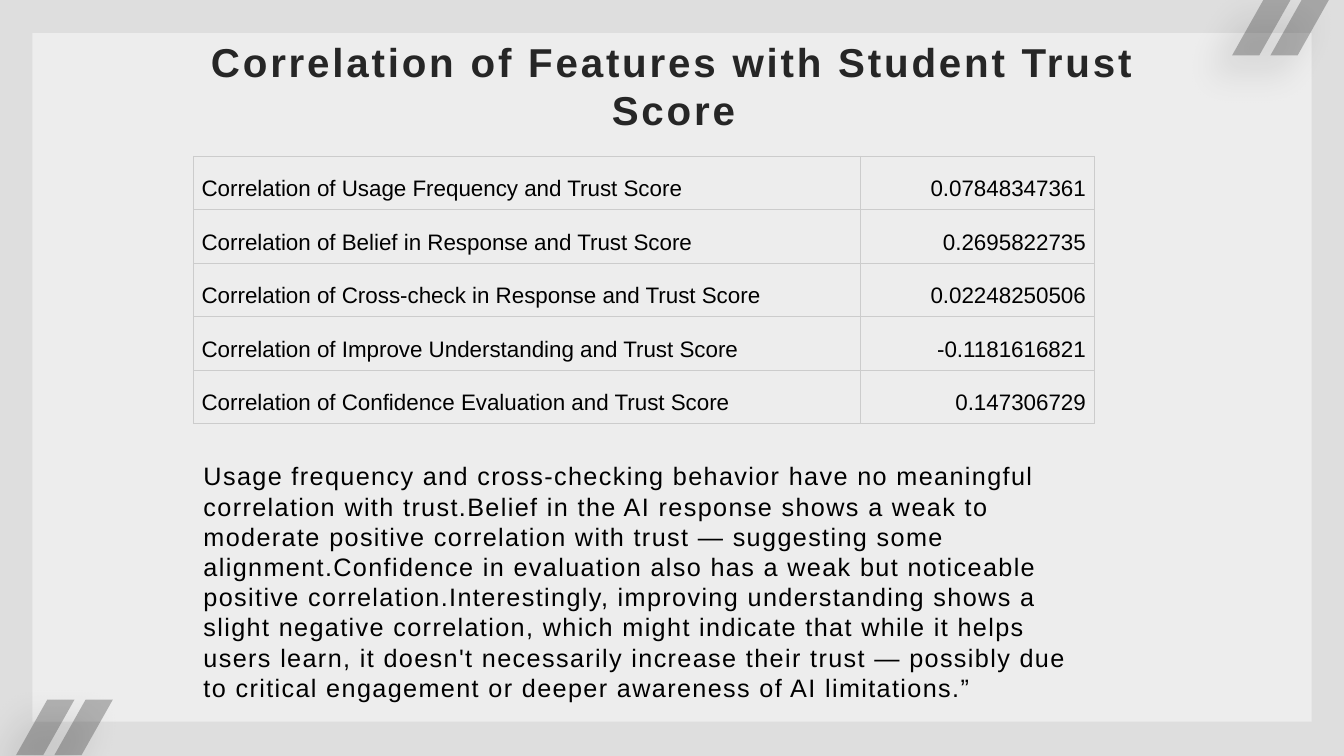
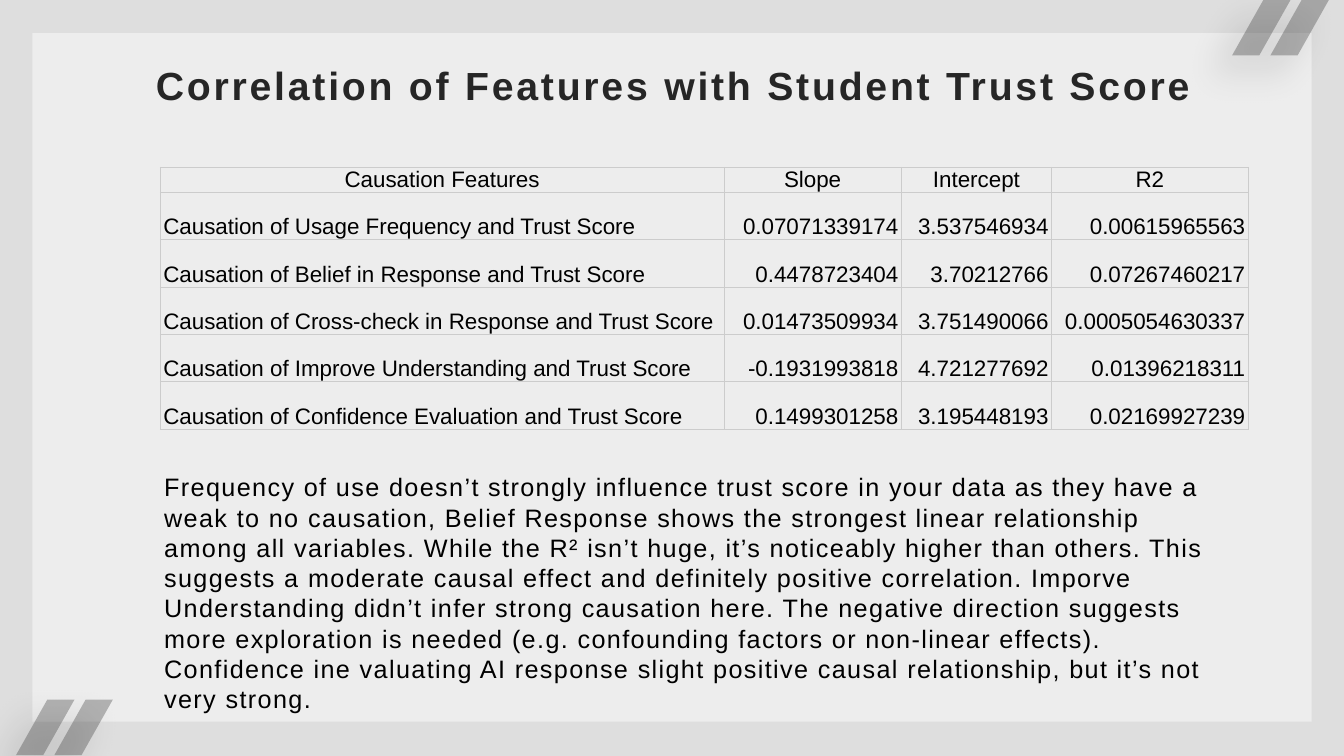
import dataclasses
import typing

import lxml.etree
import pptx
import pptx.dml.color
import pptx.enum.shapes
import pptx.enum.text
import pptx.oxml.ns
import pptx.util

Inches = pptx.util.Inches
Pt = pptx.util.Pt
ALIGN = pptx.enum.text.PP_ALIGN
ANCHOR = pptx.enum.text.MSO_ANCHOR
qn = pptx.oxml.ns.qn

FONT = "Arial"
BACK, PANEL, GRID = "DEDEDE", "EDEDED", "CCCCCC"
DARK, BLACK = "262626", "000000"
TITLE = "Correlation of Features with Student Trust Score"


@dataclasses.dataclass
class Grid:
    left: float
    top: float
    cols: list[float]
    rows: list[float]
    cells: list[list[str]]
    pad_x: float
    pad_y: float
    header: bool = False


@dataclasses.dataclass
class Page:
    title_size: float
    grid: Grid
    note: str
    box: tuple[float, float, float, float]


PAGES = [
    Page(
        28.8,
        Grid(1.92, 1.55, [6.61, 2.32], [0.53] * 5, [
            ["Correlation of Usage Frequency and Trust Score", "0.07848347361"],
            ["Correlation of Belief in Response and Trust Score", "0.2695822735"],
            ["Correlation of Cross-check in Response and Trust Score", "0.02248250506"],
            ["Correlation of Improve Understanding and Trust Score", "-0.1181616821"],
            ["Correlation of Confidence Evaluation and Trust Score", "0.147306729"],
        ], 0.08, 0.08),
        "Usage frequency and cross-checking behavior have no meaningful "
        "correlation with trust.Belief in the AI response shows a weak to "
        "moderate positive correlation with trust — suggesting some "
        "alignment.Confidence in evaluation also has a weak but noticeable "
        "positive correlation.Interestingly, improving understanding shows a "
        "slight negative correlation, which might indicate that while it helps "
        "users learn, it doesn't necessarily increase their trust — possibly due "
        "to critical engagement or deeper awareness of AI limitations.”",
        (1.92, 4.52, 8.93, 2.52),
    ),
    Page(
        28,
        Grid(1.59, 1.66, [5.59, 1.76, 1.49, 1.95], [0.23] + [0.47] * 5, [
            ["Causation Features", "Slope", "Intercept", "R2"],
            ["Causation of Usage Frequency and Trust Score",
             "0.07071339174", "3.537546934", "0.00615965563"],
            ["Causation of Belief in Response and Trust Score",
             "0.4478723404", "3.70212766", "0.07267460217"],
            ["Causation of Cross-check in Response and Trust Score",
             "0.01473509934", "3.751490066", "0.0005054630337"],
            ["Causation of Improve Understanding and Trust Score",
             "-0.1931993818", "4.721277692", "0.01396218311"],
            ["Causation of Confidence Evaluation and Trust Score",
             "0.1499301258", "3.195448193", "0.02169927239"],
        ], 0.03, 0, header=True),
        "Frequency of use doesn’t strongly influence trust score in your data "
        "as they have a weak to no causation, Belief Response shows the "
        "strongest linear relationship among all variables. While the R² isn’t "
        "huge, it’s noticeably higher than others. This suggests a moderate "
        "causal effect and definitely positive correlation. Imporve "
        "Understanding didn’t infer strong causation here. The negative "
        "direction suggests more exploration is needed (e.g. confounding "
        "factors or non-linear effects). Confidence ine valuating AI response "
        "slight positive causal relationship, but it’s not very strong.",
        (1.53, 4.63, 10.77, 2.52),
    ),
]


def paint(fill: typing.Any, color: str) -> None:
    fill.solid()
    fill.fore_color.rgb = pptx.dml.color.RGBColor.from_string(color)


def write(frame: typing.Any, text: str, *, size: float, color: str = BLACK,
          bold: bool = False, align: ALIGN = ALIGN.LEFT,
          track: float = 0, lead: float = 0) -> None:
    """Write one paragraph; track is letter spacing and lead is line pitch, in points."""
    para = frame.paragraphs[0]
    para.alignment = align
    if lead:
        para.line_spacing = Pt(lead)
    run = para.add_run()
    run.text = text
    run.font.name = FONT
    run.font.size = Pt(size)
    run.font.bold = bold
    paint(run.font.fill, color)
    if track:
        run.font._element.set("spc", str(int(track * 100)))


def add_panel(shapes: typing.Any) -> typing.Any:
    panel = shapes.add_shape(
        pptx.enum.shapes.MSO_SHAPE.RECTANGLE,
        Inches(0.32), Inches(0.33), Inches(12.69), Inches(6.83))
    paint(panel.fill, PANEL)
    panel.line.fill.background()
    panel.shadow.inherit = False
    return panel


def add_slash(shapes: typing.Any, left: float, top: float) -> typing.Any:
    """Add a pair of see-through slanted bars with a soft shadow."""
    bars = []
    for x in (left, left + 0.38):
        points = [(x + 0.31, top), (x + 0.58, top), (x + 0.27, top + 0.55), (x, top + 0.55)]
        bars.append([(Inches(a), Inches(b)) for a, b in points])
    pen = shapes.build_freeform(*bars[0][0], scale=1.0)
    pen.add_line_segments(bars[0][1:], close=True)
    pen.move_to(*bars[1][0])
    pen.add_line_segments(bars[1][1:], close=True)
    slash = pen.convert_to_shape()
    paint(slash.fill, DARK)
    slash.line.fill.background()
    slash.shadow.inherit = False
    props = slash.element.spPr
    tint = props.find(qn("a:solidFill")).find(qn("a:srgbClr"))
    lxml.etree.SubElement(tint, qn("a:alpha"), val="30000")
    shade = lxml.etree.SubElement(
        props.find(qn("a:effectLst")), qn("a:outerShdw"),
        blurRad=str(Pt(26)), dist=str(Pt(19)), dir=str(135 * 60000),
        algn="tr", rotWithShape="0")
    hue = lxml.etree.SubElement(shade, qn("a:srgbClr"), val=BLACK)
    lxml.etree.SubElement(hue, qn("a:alpha"), val="40000")
    return slash


def dress_layout(layout: typing.Any, shapes: typing.Any) -> None:
    """Give the layout its backdrop, building it in shapes and moving it behind the title."""
    paint(layout.background.fill, BACK)
    for holder in list(layout.placeholders):
        if holder.placeholder_format.idx:
            holder.element.getparent().remove(holder.element)
    decor = [add_panel(shapes), add_slash(shapes, 12.22, 0), add_slash(shapes, 0.16, 6.94)]
    for spot, item in enumerate(decor, 2):
        layout.shapes.element.insert(spot, item.element)


def set_title(title: typing.Any, size: float) -> None:
    title.left, title.top = Inches(1.4), Inches(0.45)
    title.width, title.height = Inches(10.53), Inches(0.79)
    frame = title.text_frame
    frame.auto_size = pptx.enum.text.MSO_AUTO_SIZE.NONE
    frame.word_wrap = True
    frame.vertical_anchor = ANCHOR.MIDDLE
    frame.margin_left, frame.margin_right = Inches(0.11), Inches(0.08)
    frame.margin_top = frame.margin_bottom = Inches(0.04)
    write(frame, TITLE, size=size, color=DARK, bold=True,
          align=ALIGN.CENTER, track=2, lead=size * 1.2)


def rule_cell(cell: typing.Any) -> None:
    """Draw thin lines on all four sides and leave the cell unfilled."""
    props = cell._tc.get_or_add_tcPr()
    for side in "LRTB":
        line = lxml.etree.SubElement(props, qn(f"a:ln{side}"), w=str(Pt(0.6)))
        fill = lxml.etree.SubElement(line, qn("a:solidFill"))
        lxml.etree.SubElement(fill, qn("a:srgbClr"), val=GRID)
    cell.fill.background()


def add_grid(shapes: typing.Any, grid: Grid) -> None:
    table = shapes.add_table(
        len(grid.rows), len(grid.cols), Inches(grid.left), Inches(grid.top),
        Inches(sum(grid.cols)), Inches(sum(grid.rows))).table
    table.first_row = table.horz_banding = False
    for col, width in zip(table.columns, grid.cols):
        col.width = Inches(width)
    for row, height in zip(table.rows, grid.rows):
        row.height = Inches(height)
    for r, texts in enumerate(grid.cells):
        for c, text in enumerate(texts):
            cell = table.cell(r, c)
            cell.margin_left = cell.margin_right = Inches(grid.pad_x)
            cell.margin_top = cell.margin_bottom = Inches(grid.pad_y)
            cell.vertical_anchor = ANCHOR.BOTTOM
            rule_cell(cell)
            if grid.header and r == 0:
                align = ALIGN.CENTER
            else:
                align = ALIGN.RIGHT if c else ALIGN.LEFT
            write(cell.text_frame, text, size=16, align=align)


def add_note(shapes: typing.Any, page: Page) -> None:
    frame = shapes.add_textbox(*map(Inches, page.box)).text_frame
    frame.word_wrap = True
    frame.auto_size = pptx.enum.text.MSO_AUTO_SIZE.SHAPE_TO_FIT_TEXT
    write(frame, page.note, size=18, track=1, lead=21.6)


def main() -> None:
    deck = pptx.Presentation()
    deck.slide_width, deck.slide_height = Inches(13.33), Inches(7.5)
    layout = deck.slide_layouts.get_by_name("Title Only")
    slides = [deck.slides.add_slide(layout) for _ in PAGES]
    dress_layout(layout, slides[0].shapes)
    for slide, page in zip(slides, PAGES):
        set_title(slide.shapes.title, page.title_size)
        add_grid(slide.shapes, page.grid)
        add_note(slide.shapes, page)
    deck.save("out.pptx")


if __name__ == "__main__":
    main()
